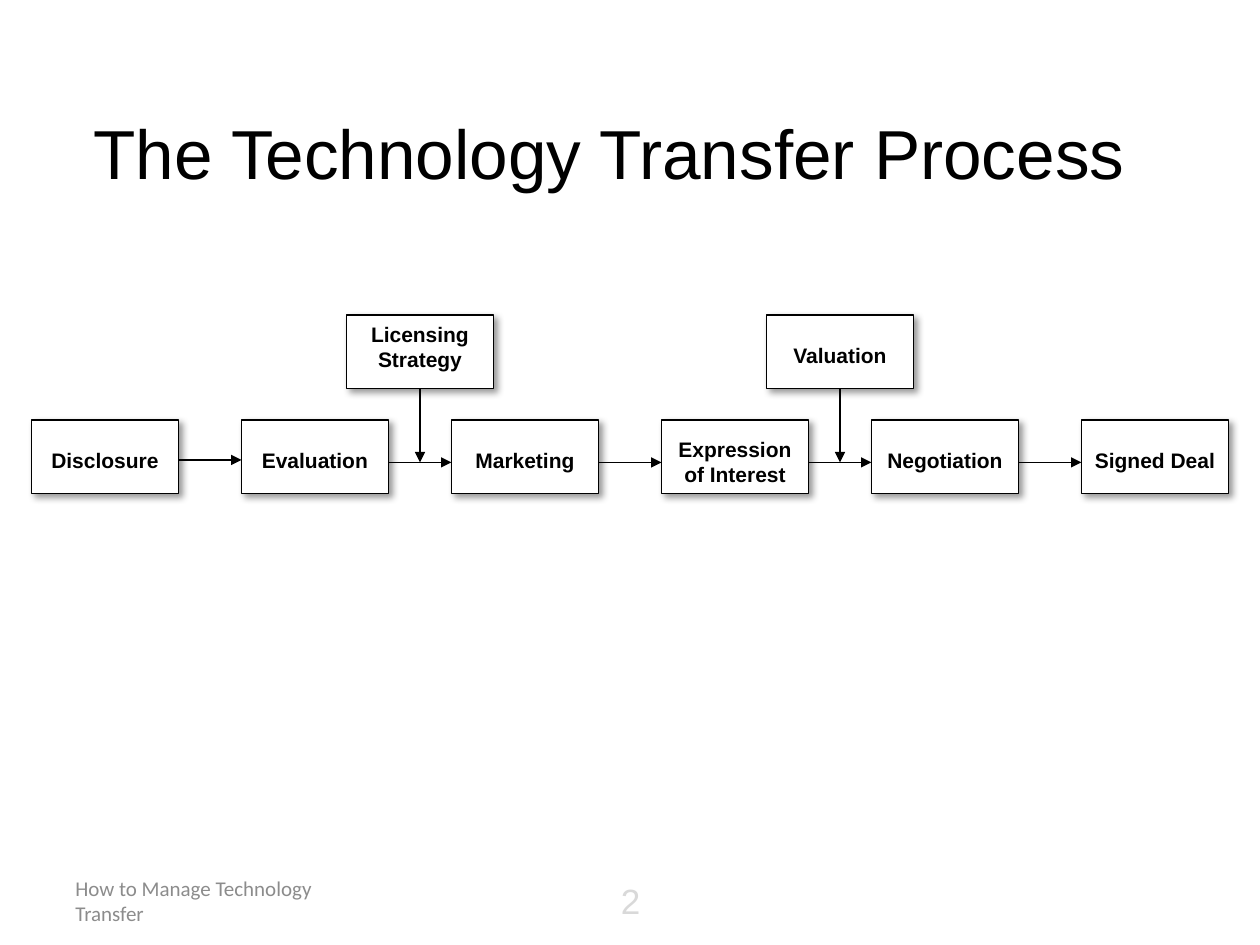
from dataclasses import dataclass

from lxml.etree import SubElement
from pptx import Presentation
from pptx.dml.color import RGBColor
from pptx.enum.shapes import MSO_CONNECTOR as Connector, MSO_SHAPE as Preset
from pptx.enum.text import MSO_ANCHOR as Anchor, MSO_AUTO_SIZE as AutoSize, PP_ALIGN as Align
from pptx.oxml import parse_xml
from pptx.oxml.ns import nsdecls, qn
from pptx.util import Inches, Pt

COLORS = {
    "black": "000000",
    "white": "FFFFFF",
    "footer": "8C8C8C",
    "number": "D9D9D9",
}
BOX_WIDTH, BOX_HEIGHT = 7 / 6, 7 / 12
LEFT_MARGIN, COLUMN_STEP = 0.25, 5 / 3
MAIN_TOP, INPUT_TOP = 10 / 3, 2.5
ARROW_Y = 3.67


@dataclass
class Step:
    label: str
    column: float
    top: float = MAIN_TOP
    text_offset: float = 0.17
    text_height: float = 0.3

    @property
    def left(self) -> float:
        return LEFT_MARGIN + self.column * COLUMN_STEP

    @property
    def right(self) -> float:
        return self.left + BOX_WIDTH


MAIN_STEPS = [
    Step("Disclosure", 0),
    Step("Evaluation", 1),
    Step("Marketing", 2),
    Step("Expression of Interest", 3, text_offset=0.08, text_height=0.5),
    Step("Negotiation", 4),
    Step("Signed Deal", 5),
]
INPUT_STEPS = [
    Step("Licensing Strategy", 1.5, INPUT_TOP, text_offset=0, text_height=0.5),
    Step("Valuation", 3.5, INPUT_TOP),
]


def rgb(name: str) -> RGBColor:
    return RGBColor.from_string(COLORS[name])


def write_text(shape, text: str, *, size: float = 12, font: str = "Arial",
               color: str = "black", bold: bool = False,
               align=Align.CENTER, anchor=Anchor.MIDDLE) -> None:
    frame = shape.text_frame
    frame.word_wrap = True
    frame.auto_size = AutoSize.NONE
    frame.vertical_anchor = anchor
    paragraph = frame.paragraphs[0]
    paragraph.alignment = align
    run = paragraph.add_run()
    run.text = text
    run.font.size = Pt(size)
    run.font.name = font
    run.font.bold = bold
    run.font.color.rgb = rgb(color)


def add_text(shapes, text: str, left: float, top: float,
             width: float, height: float, **text_format) -> None:
    text_box = shapes.add_textbox(Inches(left), Inches(top), Inches(width), Inches(height))
    write_text(text_box, text, **text_format)


def add_soft_shadow(shape) -> None:
    """Cast a 40 % black shadow, 4 pt blurred and 3 pt away, at 45 degrees."""
    shape._element.spPr.append(parse_xml(
        f'<a:effectLst {nsdecls("a")}>'
        f'<a:outerShdw blurRad="{Pt(4)}" dist="{Pt(3)}" dir="2700000" '
        'algn="tl" rotWithShape="0">'
        f'<a:srgbClr val="{COLORS["black"]}"><a:alpha val="40000"/></a:srgbClr>'
        '</a:outerShdw></a:effectLst>'))


def add_step(slide, step: Step) -> None:
    """Group a shadowed box with its label."""
    shapes = slide.shapes.add_group_shape().shapes
    box = shapes.add_shape(Preset.RECTANGLE, Inches(step.left), Inches(step.top),
                           Inches(BOX_WIDTH), Inches(BOX_HEIGHT))
    box.fill.solid()
    box.fill.fore_color.rgb = rgb("white")
    box.line.color.rgb = rgb("black")
    box.line.width = Pt(0.75)
    add_soft_shadow(box)
    add_text(shapes, step.label, step.left, step.top + step.text_offset,
             BOX_WIDTH, step.text_height, bold=True, anchor=Anchor.TOP)


def add_arrow(slide, start_x: float, start_y: float, end_x: float, end_y: float) -> None:
    arrow = slide.shapes.add_connector(Connector.STRAIGHT, Inches(start_x), Inches(start_y),
                                       Inches(end_x), Inches(end_y))
    arrow.line.color.rgb = rgb("black")
    arrow.line.width = Pt(0.75)
    SubElement(arrow.line._get_or_add_ln(), qn("a:tailEnd"), type="triangle")
    SubElement(arrow._element.spPr, qn("a:effectLst"))


def main() -> None:
    presentation = Presentation()
    presentation.slide_width, presentation.slide_height = Inches(10), Inches(7.5)
    slide = presentation.slides.add_slide(presentation.slide_layouts[5])

    title = slide.shapes.title
    title.left, title.top = Inches(0.5), Inches(0.83)
    title.width, title.height = Inches(8.67), Inches(0.75)
    write_text(title, "The Technology Transfer Process", size=39.6)

    add_text(slide.shapes, "How to Manage Technology Transfer", 0.5, 6.95, 2.33, 0.4,
             font="Calibri", color="footer", align=Align.LEFT)
    add_text(slide.shapes, "2", 3.42, 6.95, 3.17, 0.4, size=20, color="number")

    for step in MAIN_STEPS + INPUT_STEPS:
        add_step(slide, step)
    for step, following in zip(MAIN_STEPS, MAIN_STEPS[1:]):
        y = 3.65 if step.column == 0 else ARROW_Y
        add_arrow(slide, step.right, y, following.left, y)
    for step in INPUT_STEPS:
        center = step.left + BOX_WIDTH / 2
        add_arrow(slide, center, step.top + BOX_HEIGHT, center, ARROW_Y)

    presentation.save("out.pptx")


if __name__ == "__main__":
    main()
